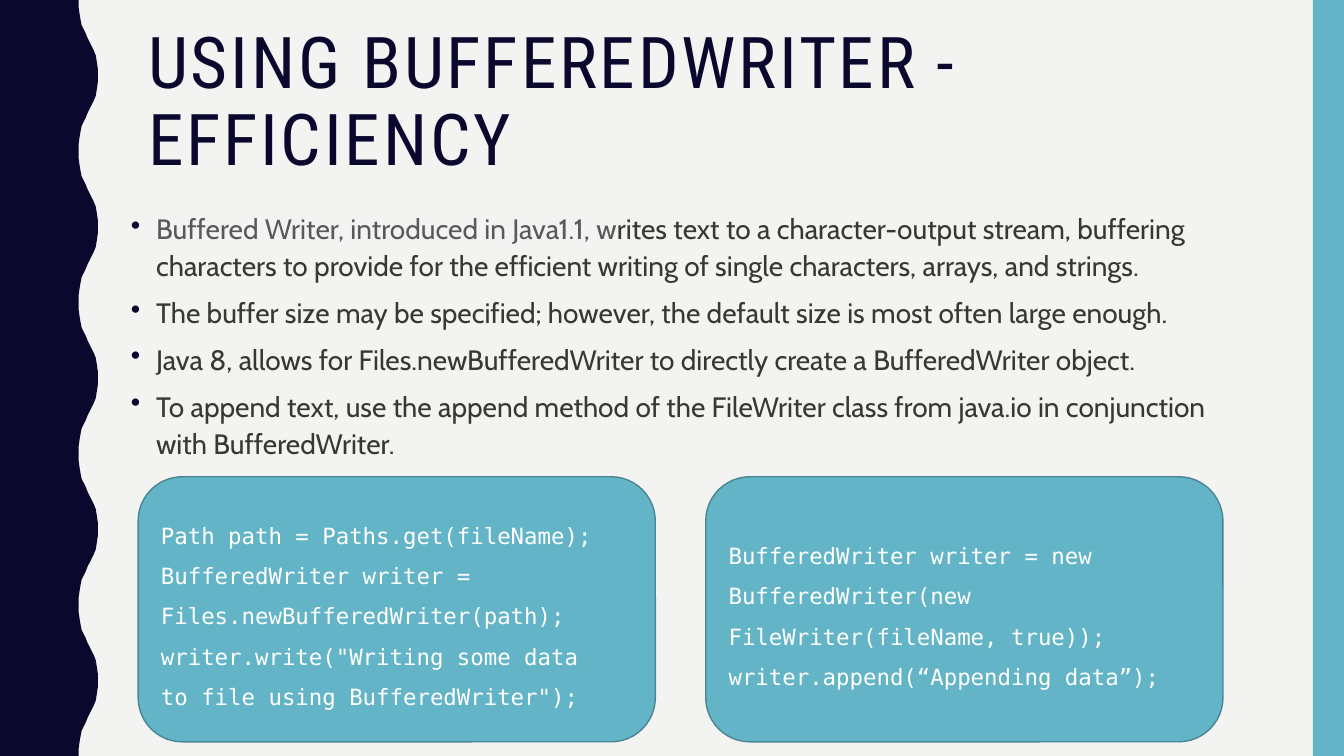
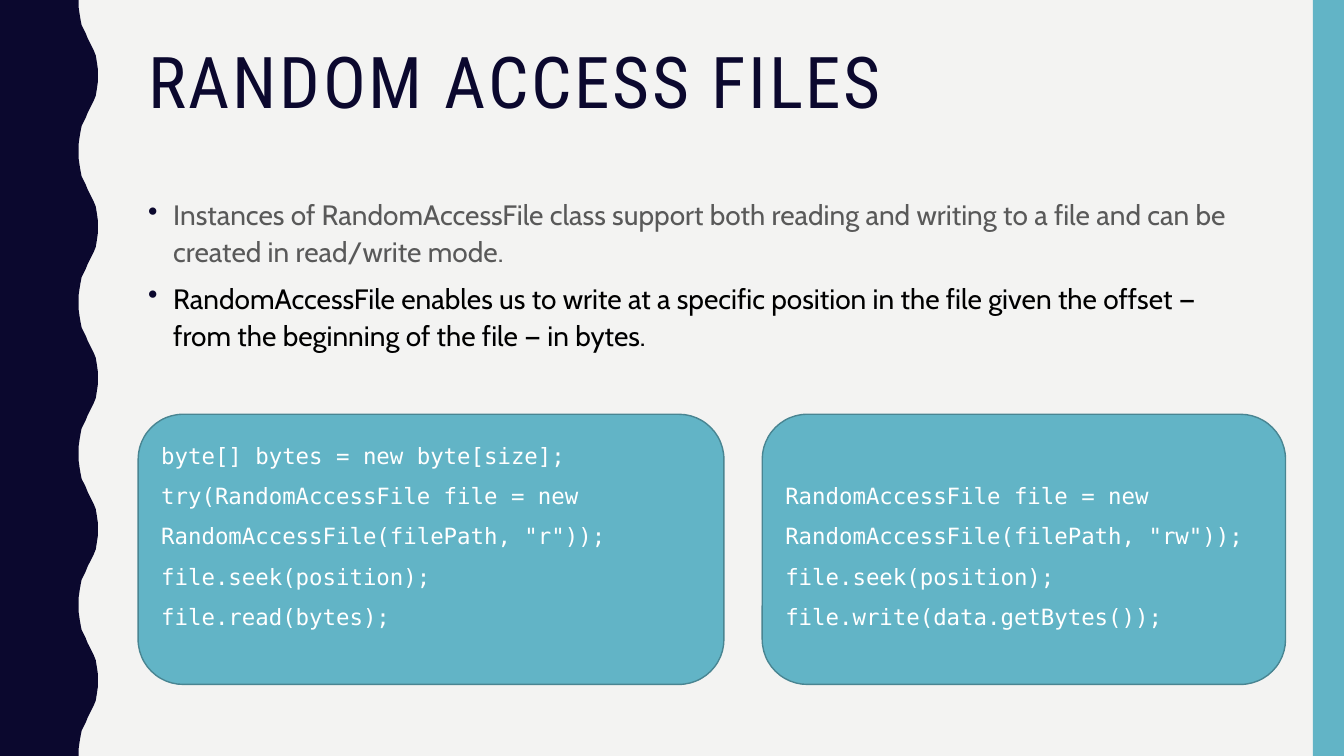
from lxml import etree
from pptx import Presentation
from pptx.dml.color import RGBColor
from pptx.enum.shapes import MSO_SHAPE
from pptx.enum.text import MSO_ANCHOR, PP_ALIGN
from pptx.oxml.ns import qn
from pptx.util import Inches, Pt

RECTANGLE = MSO_SHAPE.RECTANGLE
ROUNDED = MSO_SHAPE.ROUNDED_RECTANGLE
TOP, MIDDLE = MSO_ANCHOR.TOP, MSO_ANCHOR.MIDDLE
LEFT = PP_ALIGN.LEFT

NAVY, TEAL, TEAL_DARK = "0B082E", "62B4C6", "498592"
PAPER, WHITE, BLACK = "F3F3F2", "FFFFFF", "000000"
GREY, CHARCOAL = "595959", "353833"
TITLE_FONT, BODY_FONT, CODE_FONT = "Roboto Condensed", "Cabin", "DejaVu Sans Mono"

WAVE_PERIOD = 1.5
HALF_WAVE = [
    (0.78, 0), (0.78, 0.07), (0.79, 0.14), (0.8, 0.2), (0.81, 0.25),
    (0.83, 0.29), (0.85, 0.33), (0.87, 0.38), (0.89, 0.42), (0.91, 0.46),
    (0.93, 0.5), (0.95, 0.55), (0.96, 0.61), (0.97, 0.68), (0.97, 0.75),
]
WAVE = HALF_WAVE + [(x, WAVE_PERIOD - y) for x, y in HALF_WAVE[-2::-1]]

SLIDES = [
    {
        "title": "USING BUFFEREDWRITER - EFFICIENCY",
        "title_top": 0.22,
        "body_box": (1.2, 2.02, 11.13, 2.7),
        "body": [
            [("Buffered Writer, introduced in Java1.1, w", GREY),
             ("rites text to a character-output stream, buffering characters to provide "
              "for the efficient writing of single characters, arrays, and strings.", CHARCOAL)],
            [("The buffer size may be specified; however, the default size is most often "
              "large enough.", CHARCOAL)],
            [("Java 8, allows for Files.newBufferedWriter to directly create a "
              "BufferedWriter object.", CHARCOAL)],
            [("To append text, use the append method of the FileWriter class from java.io "
              "in conjunction with BufferedWriter.", CHARCOAL)],
        ],
        "code": [
            ((1.37, 4.73, 5.13, 2.63), 0.05, [
                "Path path = Paths.get(fileName);",
                "BufferedWriter writer = Files.newBufferedWriter(path);",
                'writer.write("Writing some data \tto file using BufferedWriter");',
            ]),
            ((7, 4.73, 5.13, 2.63), 0.05, [
                "BufferedWriter writer = new BufferedWriter(new FileWriter(fileName, true));",
                "writer.append(“Appending data”);",
            ]),
        ],
    },
    {
        "title": "RANDOM ACCESS FILES",
        "title_top": 0.42,
        "body_box": (1.37, 1.88, 11.13, 2.1),
        "body": [
            [("Instances of RandomAccessFile class support both reading and writing to a "
              "file and can be created in read/write mode.", GREY)],
            [("RandomAccessFile enables us to write at a specific position in the file "
              "given the offset — from the beginning of the file — in bytes.", BLACK)],
        ],
        "code": [
            ((1.37, 4.11, 5.81, 2.68), 0.45, [
                "byte[] bytes = new byte[size];",
                'try(RandomAccessFile file = new RandomAccessFile(filePath, "r"));',
                "file.seek(position);",
                "file.read(bytes);",
            ]),
            ((7.56, 4.11, 5.19, 2.68), 0.05, [
                'RandomAccessFile file = new RandomAccessFile(filePath, "rw"));',
                "file.seek(position);",
                "file.write(data.getBytes());",
            ]),
        ],
    },
]


def paint(color_format, hex_color):
    color_format.rgb = RGBColor.from_string(hex_color)


def write(shape, paragraphs, font, size, line_spacing, anchor=TOP):
    frame = shape.text_frame
    frame.word_wrap = True
    frame.vertical_anchor = anchor
    for index, runs in enumerate(paragraphs):
        paragraph = frame.add_paragraph() if index else frame.paragraphs[0]
        paragraph.alignment = LEFT
        paragraph.line_spacing = line_spacing
        for text, hex_color in runs:
            run = paragraph.add_run()
            run.text = text
            run.font.name = font
            run.font.size = Pt(size)
            paint(run.font.color, hex_color)
    return frame


presentation = Presentation()
presentation.slide_width = Inches(13.33)
presentation.slide_height = Inches(7.5)
background = presentation.slide_master.background.fill
background.solid()
paint(background.fore_color, PAPER)

for content in SLIDES:
    slide = presentation.slides.add_slide(presentation.slide_layouts[6])
    shapes = slide.shapes

    edge = [(x, y + period * WAVE_PERIOD) for period in range(5) for x, y in WAVE]
    outline = shapes.build_freeform(0, 0, scale=1.0)
    outline.add_line_segments([(Inches(x), Inches(y)) for x, y in edge + [(0, 7.5)]])
    wave_band = outline.convert_to_shape()
    side_band = shapes.add_shape(RECTANGLE, Inches(13.02), 0, Inches(0.31), Inches(7.5))
    for band, hex_color in ((wave_band, NAVY), (side_band, TEAL)):
        band.shadow.inherit = False
        band.fill.solid()
        paint(band.fill.fore_color, hex_color)
        band.line.fill.background()

    title = shapes.add_textbox(
        Inches(1.37), Inches(content["title_top"]), Inches(11.13), Inches(1.63))
    frame = write(title, [[(content["title"], NAVY)]], TITLE_FONT, 51, 0.9)
    frame.paragraphs[0].runs[0].font._element.set("spc", "200")

    body = shapes.add_textbox(*map(Inches, content["body_box"]))
    for paragraph in write(body, content["body"], BODY_FONT, 20, 1.1).paragraphs:
        paragraph.space_before = Pt(7)
        properties = paragraph._p.get_or_add_pPr()
        properties.set("marL", str(Inches(0.25)))
        properties.set("indent", str(Inches(-0.25)))
        bullet_color = etree.SubElement(properties, qn("a:buClr"))
        etree.SubElement(bullet_color, qn("a:srgbClr"), val=NAVY)
        etree.SubElement(properties, qn("a:buChar"), char="•")

    for box, bottom_margin, lines in content["code"]:
        panel = shapes.add_shape(ROUNDED, *map(Inches, box))
        panel.shadow.inherit = False
        panel.fill.solid()
        paint(panel.fill.fore_color, TEAL)
        paint(panel.line.color, TEAL_DARK)
        panel.line.width = Pt(1)
        code = [[(line, WHITE)] for line in lines]
        frame = write(panel, code, CODE_FONT, 16, 1.5, MIDDLE)
        frame.margin_bottom = Inches(bottom_margin)

presentation.save("out.pptx")
